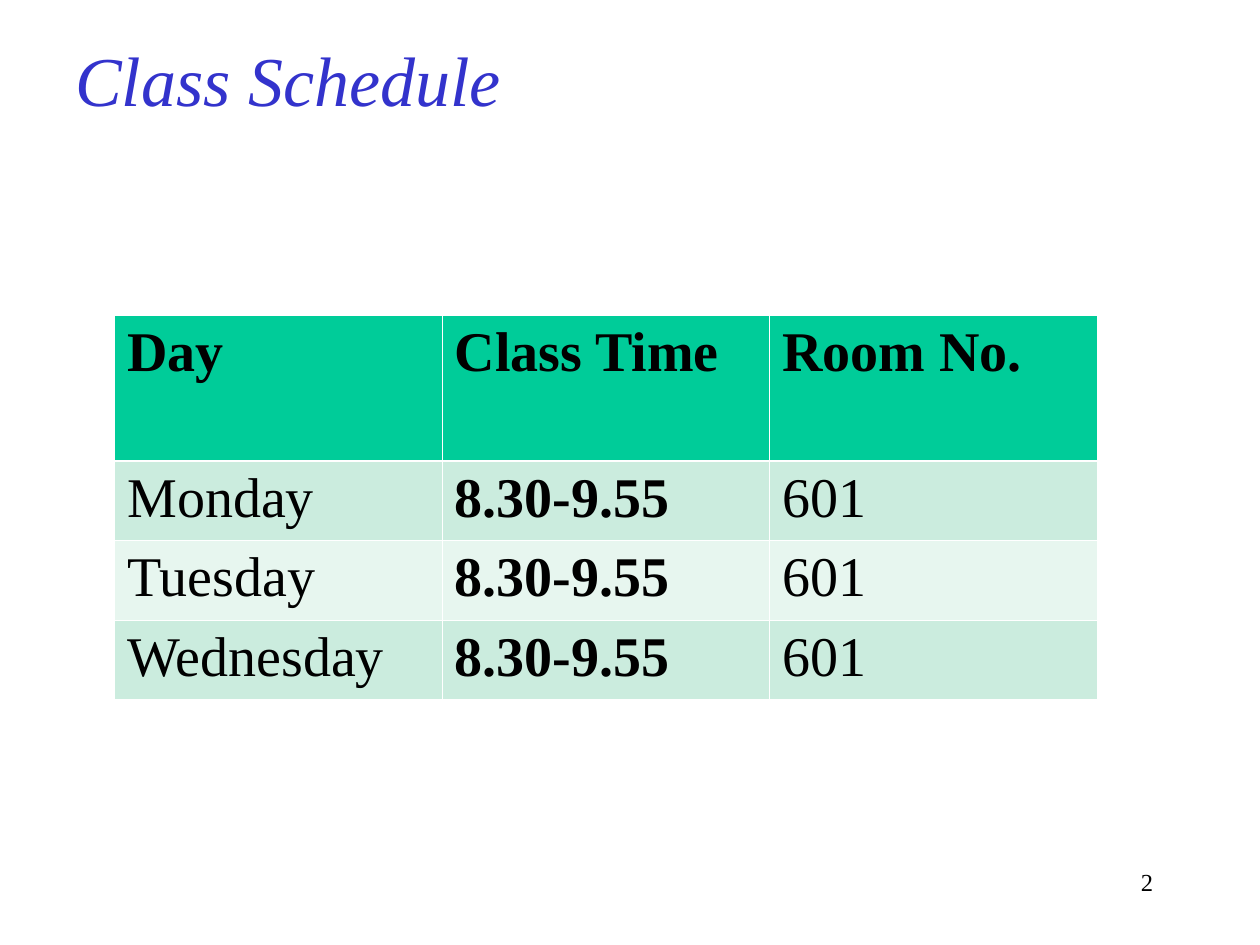
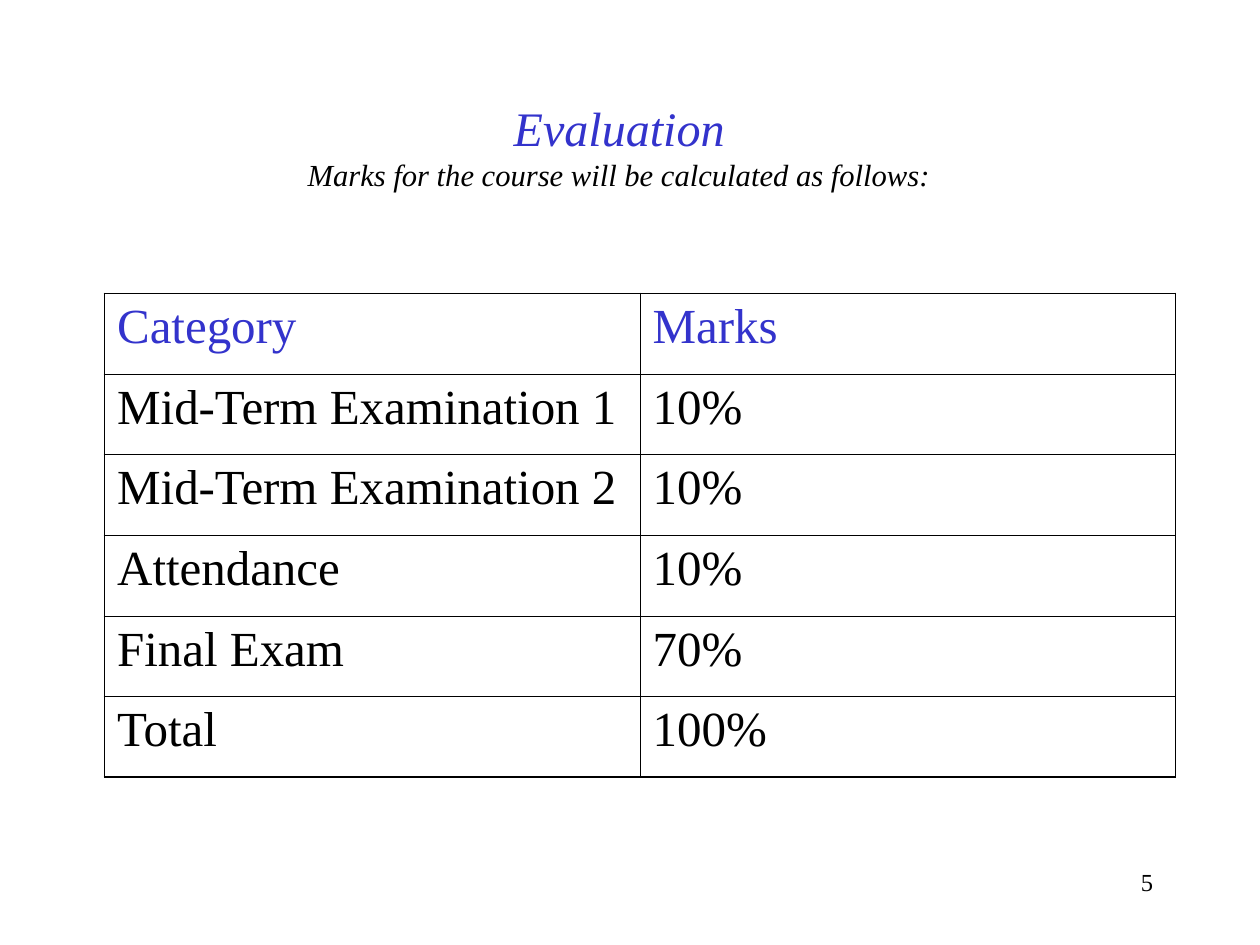
"""Build the class schedule and evaluation slides of a course introduction."""
from dataclasses import dataclass

import pptx
import pptx.dml.color
import pptx.enum.text
import pptx.oxml
import pptx.oxml.ns
import pptx.util
from pptx.util import Inches

FONT = "Times New Roman"
COLORS = {
    "title": "3333CC",
    "text": "000000",
    "white": "FFFFFF",
    "header": "00CC99",
    "band_dark": "CBECDE",
    "band_light": "E7F6EF",
}
ALIGN = pptx.enum.text.PP_ALIGN
ANCHOR = pptx.enum.text.MSO_ANCHOR
THIN = 0.45


@dataclass(frozen=True)
class Box:
    left: float
    top: float
    width: float
    height: float


@dataclass(frozen=True)
class Line:
    text: str
    size: float
    color: str = "text"
    bold: bool = False
    italic: bool = False


@dataclass(frozen=True)
class Grid:
    left: float
    top: float
    column_width: float
    header_height: float
    row_height: float
    size: float
    border_color: str
    outer_width: float
    header_rule: float
    header_color: str
    header_bold: bool
    bold_columns: tuple[int, ...]
    header_fill: str | None
    band_fills: tuple[str | None, ...]
    rows: tuple[tuple[str, ...], ...]


NUMBER_BOX = Box(7.17, 6.83, 2.08, 0.5)

SCHEDULE = Grid(
    left=0.91, top=2.5, column_width=2.6, header_height=1.16, row_height=0.63, size=32,
    border_color="white", outer_width=THIN, header_rule=1.47,
    header_color="text", header_bold=True, bold_columns=(1,),
    header_fill="header", band_fills=("band_dark", "band_light"),
    rows=(
        ("Day", "Class Time", "Room No."),
        ("Monday", "8.30-9.55", "601"),
        ("Tuesday", "8.30-9.55", "601"),
        ("Wednesday", "8.30-9.55", "601"),
    ),
)

EVALUATION = Grid(
    left=0.83, top=2.33, column_width=4.25, header_height=0.64, row_height=0.64, size=28,
    border_color="text", outer_width=1.08, header_rule=THIN,
    header_color="title", header_bold=False, bold_columns=(),
    header_fill=None, band_fills=(None,),
    rows=(
        ("Category", "Marks"),
        ("Mid-Term Examination 1", "10%"),
        ("Mid-Term Examination 2", "10%"),
        ("Attendance", "10%"),
        ("Final Exam", "70%"),
        ("Total", "100%"),
    ),
)


def rgb(name: str) -> pptx.dml.color.RGBColor:
    return pptx.dml.color.RGBColor.from_string(COLORS[name])


def write(paragraph, line: Line, align=ALIGN.LEFT) -> None:
    paragraph.text = line.text
    paragraph.alignment = align
    font = paragraph.font
    font.name = FONT
    font.size = pptx.util.Pt(line.size)
    font.bold = line.bold
    font.italic = line.italic
    font.color.rgb = rgb(line.color)


def add_text(slide, box: Box, lines: list[Line], align=ALIGN.LEFT,
             anchor=ANCHOR.TOP, bottom_inset: float = 0.05) -> None:
    shape = slide.shapes.add_textbox(
        Inches(box.left), Inches(box.top), Inches(box.width), Inches(box.height))
    frame = shape.text_frame
    frame.word_wrap = True
    frame.vertical_anchor = anchor
    frame.margin_bottom = Inches(bottom_inset)
    for index, line in enumerate(lines):
        paragraph = frame.add_paragraph() if index else frame.paragraphs[0]
        write(paragraph, line, align)


def add_border(cell, side: str, width: float, color: str) -> None:
    properties = cell._tc.get_or_add_tcPr()
    properties.append(pptx.oxml.parse_xml(
        f'<a:ln{side} {pptx.oxml.ns.nsdecls("a")} w="{pptx.util.Pt(width)}">'
        f'<a:solidFill><a:srgbClr val="{COLORS[color]}"/></a:solidFill></a:ln{side}>'))


def add_grid(slide, grid: Grid) -> None:
    row_count, column_count = len(grid.rows), len(grid.rows[0])
    heights = [grid.header_height] + [grid.row_height] * (row_count - 1)
    table = slide.shapes.add_table(
        row_count, column_count, Inches(grid.left), Inches(grid.top),
        Inches(grid.column_width * column_count), Inches(sum(heights))).table
    table.first_row = False
    table.horz_banding = False
    for column in table.columns:
        column.width = Inches(grid.column_width)
    row_rules = [grid.outer_width, grid.header_rule] + [THIN] * (row_count - 2) + [grid.outer_width]
    column_rules = [grid.outer_width] + [THIN] * (column_count - 1) + [grid.outer_width]
    for row, texts in enumerate(grid.rows):
        table.rows[row].height = Inches(heights[row])
        is_header = row == 0
        fill = grid.header_fill if is_header else grid.band_fills[(row - 1) % len(grid.band_fills)]
        for column, text in enumerate(texts):
            cell = table.cell(row, column)
            color = grid.header_color if is_header else "text"
            bold = grid.header_bold if is_header else column in grid.bold_columns
            write(cell.text_frame.paragraphs[0], Line(text, grid.size, color, bold))
            widths = {"L": column_rules[column], "R": column_rules[column + 1],
                      "T": row_rules[row], "B": row_rules[row + 1]}
            for side, width in widths.items():
                add_border(cell, side, width, grid.border_color)
            if fill:
                cell.fill.solid()
                cell.fill.fore_color.rgb = rgb(fill)
            else:
                cell.fill.background()


def add_slide(presentation, number: int, grid: Grid):
    slide = presentation.slides.add_slide(presentation.slide_layouts[6])
    add_grid(slide, grid)
    add_text(slide, NUMBER_BOX, [Line(str(number), 14)], ALIGN.RIGHT)
    return slide


def main() -> None:
    presentation = pptx.Presentation()
    presentation.slide_width = Inches(10)
    presentation.slide_height = Inches(7.5)

    schedule = add_slide(presentation, 2, SCHEDULE)
    add_text(schedule, Box(0.5, 0, 9, 1.25),
             [Line("Class Schedule", 40, "title", italic=True)], anchor=ANCHOR.MIDDLE)

    evaluation = add_slide(presentation, 5, EVALUATION)
    add_text(evaluation, Box(0, 0.67, 9.83, 1.25), [
        Line("Evaluation", 27.5, "title", italic=True),
        Line("Marks for the course will be calculated as follows:", 17.5, italic=True),
    ], ALIGN.CENTER, ANCHOR.MIDDLE, bottom_inset=0.33)

    presentation.save("out.pptx")


if __name__ == "__main__":
    main()
